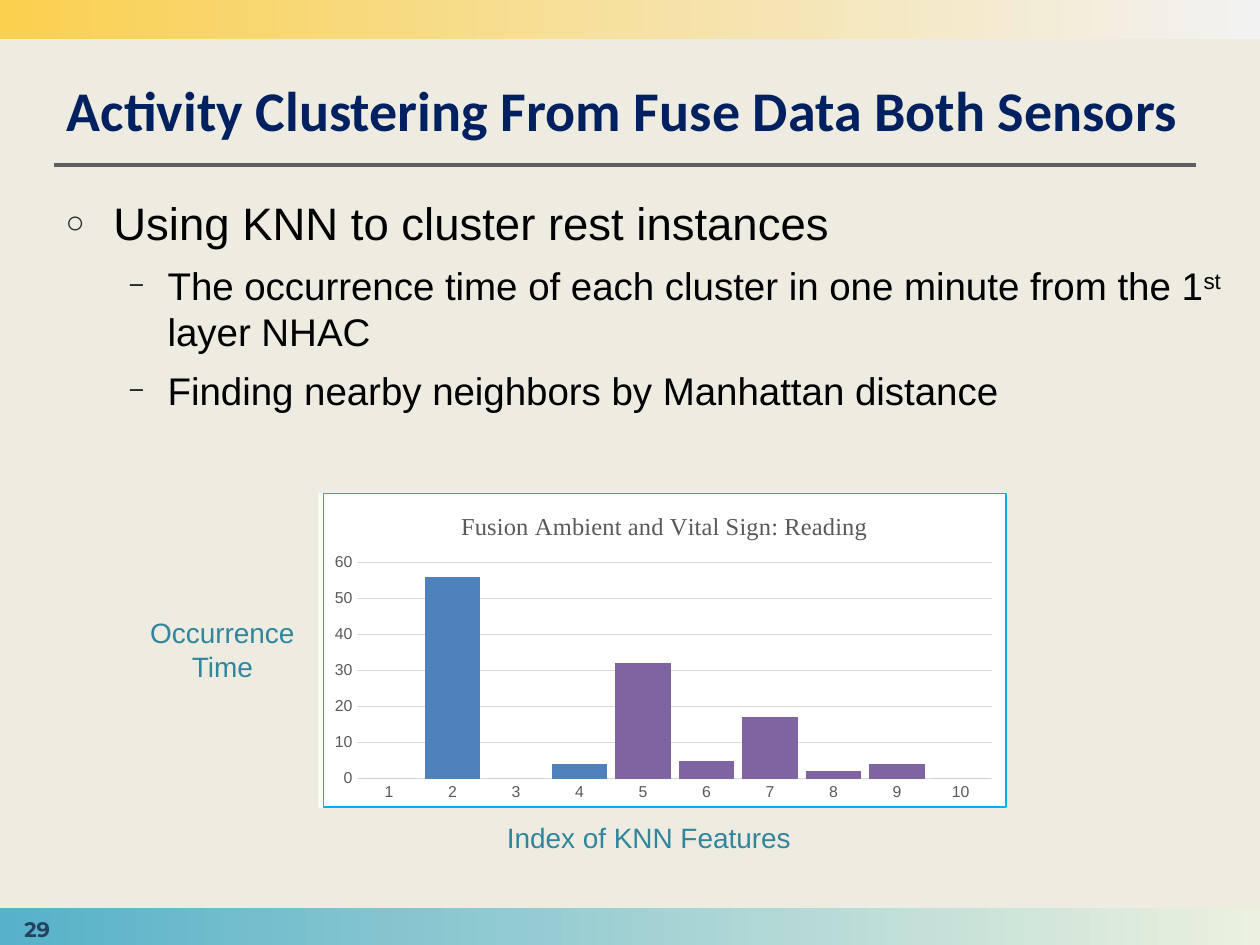
from lxml import etree
from pptx import Presentation
from pptx.chart.data import CategoryChartData
from pptx.dml.color import RGBColor
from pptx.enum.chart import XL_CHART_TYPE, XL_TICK_MARK
from pptx.enum.shapes import MSO_CONNECTOR, MSO_SHAPE
from pptx.enum.text import MSO_ANCHOR, MSO_AUTO_SIZE, PP_ALIGN
from pptx.oxml import parse_xml
from pptx.oxml.ns import nsdecls, qn
from pptx.util import Inches, Pt

COLUMN = XL_CHART_TYPE.COLUMN_CLUSTERED
NO_TICK = XL_TICK_MARK.NONE
RECT = MSO_SHAPE.RECTANGLE
STRAIGHT = MSO_CONNECTOR.STRAIGHT
LEFT, CENTER = PP_ALIGN.LEFT, PP_ALIGN.CENTER
TOP, MIDDLE, BOTTOM = MSO_ANCHOR.TOP, MSO_ANCHOR.MIDDLE, MSO_ANCHOR.BOTTOM
NO_FIT = MSO_AUTO_SIZE.NONE

CREAM = RGBColor(0xEE, 0xEC, 0xE1)
YELLOW = RGBColor(0xFA, 0xD0, 0x4F)
PALE_GRAY = RGBColor(0xF2, 0xF2, 0xF2)
SKY = RGBColor(0x56, 0xB1, 0xC9)
PALE_GREEN = RGBColor(0xEB, 0xF1, 0xDE)
RULE_GRAY = RGBColor(0x5F, 0x5F, 0x5F)
NAVY = RGBColor(0x00, 0x20, 0x60)
PAGE_BLUE = RGBColor(0x25, 0x40, 0x61)
BLACK = RGBColor(0, 0, 0)
WHITE = RGBColor(0xFF, 0xFF, 0xFF)
TEAL = RGBColor(0x31, 0x85, 0x9C)
BULLET = RGBColor(0x29, 0x29, 0x29)
LABEL = RGBColor(0x59, 0x59, 0x59)
GRID = RGBColor(0xD9, 0xD9, 0xD9)
BLUE = RGBColor(0x4F, 0x81, 0xBD)
PURPLE = RGBColor(0x80, 0x64, 0xA2)
BORDER = RGBColor(0x00, 0xB0, 0xF0)


class SlideBuilder:
    body_font = "Arial"
    levels = [("○", 26, 0.38, 0.38, 8), ("−", 22, 0.81, 0.31, 7)]

    def __init__(self, slide):
        self.s = slide
        fill = slide.background.fill
        fill.solid()
        fill.fore_color.rgb = CREAM

    def style(self, font, size, color, name=None, bold=False):
        font.name = name or self.body_font
        font.size = Pt(size)
        font.color.rgb = color
        font.bold = bold

    def place(self, sp, x, y, w, h):
        sp.left, sp.top, sp.width, sp.height = map(Inches, (x, y, w, h))

    def rect(self, x, y, w, h, *colors):
        sp = self.s.shapes.add_shape(RECT, *map(Inches, (x, y, w, h)))
        sp.shadow.inherit = False
        sp.line.fill.background()
        if len(colors) == 1:
            sp.fill.solid()
            sp.fill.fore_color.rgb = colors[0]
        else:
            sp.fill.gradient()
            sp.fill.gradient_angle = 0
            for stop, color in zip(sp.fill.gradient_stops, colors):
                stop.color.rgb = color

    def rule(self, x1, x2, y):
        ln = self.s.shapes.add_connector(
            STRAIGHT, Inches(x1), Inches(y), Inches(x2), Inches(y))
        ln.line.color.rgb = RULE_GRAY
        ln.line.width = Pt(2.25)
        etree.SubElement(ln._element.spPr, qn("a:effectLst"))

    def title(self, text, x, y, w, h):
        sp = self.s.shapes.title
        self.place(sp, x, y, w, h)
        tf = sp.text_frame
        tf.auto_size = NO_FIT
        tf.vertical_anchor = BOTTOM
        p = tf.paragraphs[0]
        p.alignment = LEFT
        r = p.add_run()
        r.text = text
        self.style(r.font, 32, NAVY, "Calibri", True)

    def bullets(self, items, x, y, w, h):
        sp = self.s.placeholders[1]
        self.place(sp, x, y, w, h)
        tf = sp.text_frame
        tf.auto_size = NO_FIT
        for i, (level, runs) in enumerate(items):
            p = tf.add_paragraph() if i else tf.paragraphs[0]
            mark, size, margin, hang, before = self.levels[level]
            p.level = level
            p.space_before = Pt(before)
            pPr = p._p.get_or_add_pPr()
            pPr.set("marL", str(Inches(margin)))
            pPr.set("indent", str(-Inches(hang)))
            color = etree.SubElement(pPr, qn("a:buClr"))
            etree.SubElement(color, qn("a:srgbClr"), val=str(BULLET))
            etree.SubElement(pPr, qn("a:buSzPct"), val="70000")
            etree.SubElement(pPr, qn("a:buChar"), char=mark)
            for text, baseline in runs:
                r = p.add_run()
                r.text = text
                self.style(r.font, size, BLACK)
                if baseline:
                    r._r.get_or_add_rPr().set("baseline", str(baseline))

    def text(self, text, x, y, w, h, size=16, color=TEAL, name=None,
             bold=False, anchor=TOP):
        tb = self.s.shapes.add_textbox(*map(Inches, (x, y, w, h)))
        tf = tb.text_frame
        tf.word_wrap = True
        tf.vertical_anchor = anchor
        p = tf.paragraphs[0]
        p.alignment = CENTER
        r = p.add_run()
        r.text = text
        self.style(r.font, size, color, name, bold)

    def chart(self, title, values, purple_points, x, y, w, h):
        data = CategoryChartData()
        data.categories = [str(n) for n in range(1, len(values) + 1)]
        data.add_series("Series 1", values)
        chart = self.s.shapes.add_chart(
            COLUMN, *map(Inches, (x, y, w, h)), data).chart
        self.style(chart.font, 10, BLACK)
        chart.has_legend = False
        chart.has_title = True
        r = chart.chart_title.text_frame.paragraphs[0].add_run()
        r.text = title
        self.style(r.font, 14, LABEL, "Times New Roman")

        plot = chart.plots[0]
        plot.gap_width = 15
        plot.overlap = -27
        plot.vary_by_categories = False
        series = plot.series[0]
        series.format.fill.solid()
        series.format.fill.fore_color.rgb = BLUE
        for i in purple_points:
            fill = series.points[i].format.fill
            fill.solid()
            fill.fore_color.rgb = PURPLE

        cat, val = chart.category_axis, chart.value_axis
        for axis in (cat, val):
            axis.major_tick_mark = axis.minor_tick_mark = NO_TICK
            self.style(axis.tick_labels.font, 9, LABEL)
        val.minimum_scale, val.maximum_scale, val.major_unit = 0, 60, 10
        val.format.line.fill.background()
        for line in (cat.format.line, val.major_gridlines.format.line):
            line.color.rgb = GRID
            line.width = Pt(0.75)
        self.frame_chart(chart)

    def frame_chart(self, chart):
        root = chart._chartSpace
        area = root.find(qn("c:chart")).find(qn("c:plotArea"))
        for old in area.findall(qn("c:layout")):
            area.remove(old)
        sizes = "".join(f'<c:{k} val="{v}"/>' for k, v in (
            ("layoutTarget", "inner"), ("xMode", "edge"), ("yMode", "edge"),
            ("x", 0.05), ("y", 0.22), ("w", 0.93), ("h", 0.69)))
        area.insert(0, parse_xml(
            f'<c:layout {nsdecls("c")}><c:manualLayout>{sizes}'
            '</c:manualLayout></c:layout>'))
        root.find(qn("c:chart")).addnext(parse_xml(
            f'<c:spPr {nsdecls("c", "a")}><a:noFill/><a:ln w="{Pt(0.75)}">'
            f'<a:solidFill><a:srgbClr val="{BORDER}"/></a:solidFill>'
            '</a:ln></c:spPr>'))


def main():
    prs = Presentation()
    prs.slide_width, prs.slide_height = Inches(10), Inches(7.5)
    b = SlideBuilder(prs.slides.add_slide(prs.slide_layouts[1]))
    b.rect(0, 7.21, 10, 0.31, SKY, PALE_GREEN)
    b.rect(0, 0, 10, 0.31, YELLOW, PALE_GRAY)
    b.rule(0.43, 9.49, 1.31)
    b.title("Activity Clustering From Fuse Data Both Sensors",
            0.43, 0.44, 9.45, 0.74)
    b.bullets([
        (0, [("Using KNN to cluster rest instances", 0)]),
        (1, [("The occurrence time of each cluster in one minute from the 1", 0),
             ("st", 30000), (" layer NHAC", 0)]),
        (1, [("Finding nearby neighbors by Manhattan distance", 0)]),
    ], 0.42, 1.5, 9.47, 5.35)
    b.text("29", 0, 7.14, 0.59, 0.47, 12, PAGE_BLUE, "Montserrat", True, MIDDLE)
    b.rect(2.53, 3.91, 5.46, 2.5, WHITE)
    b.text("Occurrence Time", 1.06, 4.84, 1.41, 0.64)
    b.text("Index of KNN Features", 3.12, 6.46, 4.06, 0.37)
    b.chart("Fusion Ambient and Vital Sign: Reading",
            [0, 56, 0, 4, 32, 5, 17, 2, 4, 0], range(4, 9),
            2.56, 3.91, 5.43, 2.5)
    prs.save("out.pptx")


if __name__ == "__main__":
    main()
